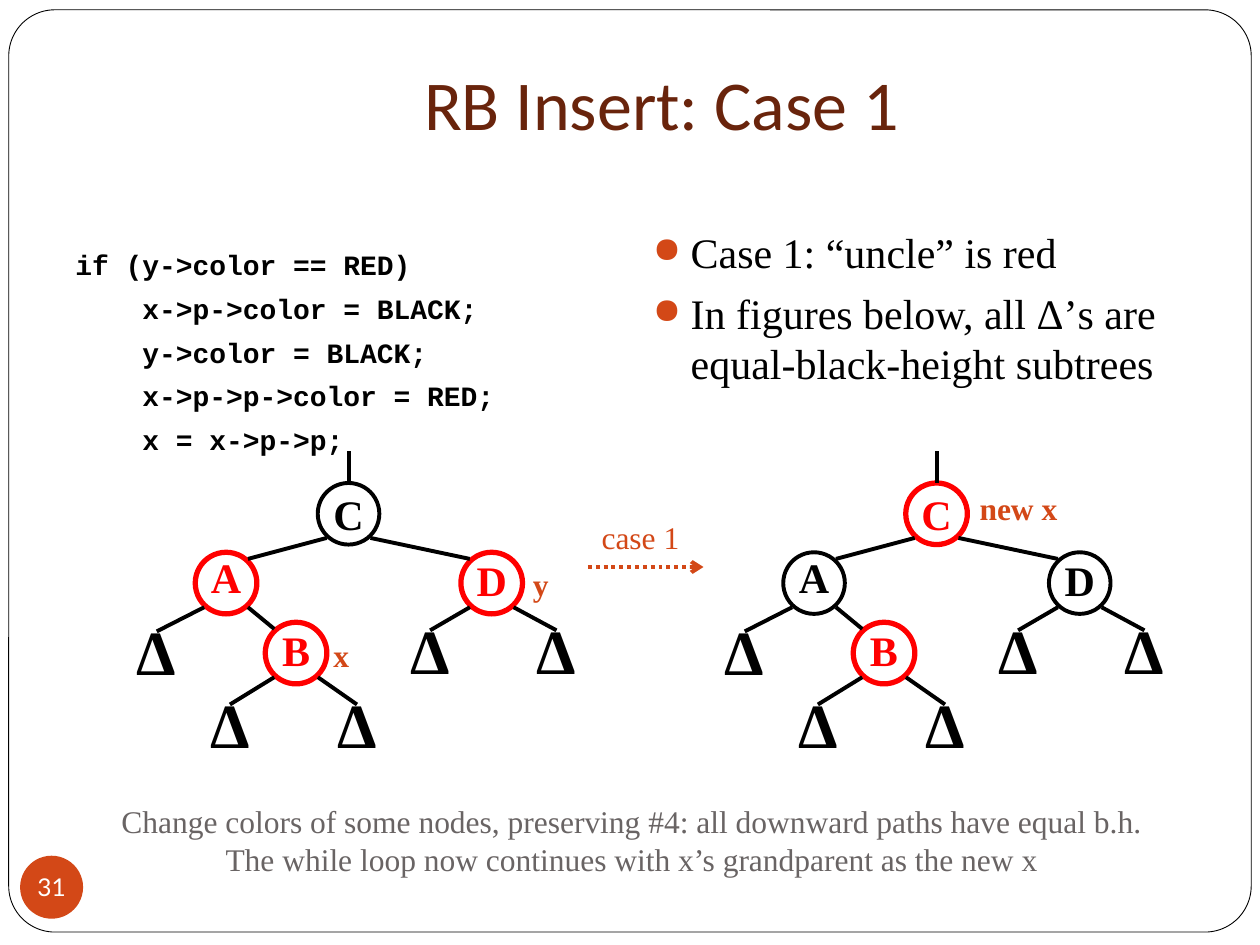
from lxml.etree import SubElement
from pptx import Presentation
from pptx.dml.color import RGBColor
from pptx.enum.dml import MSO_LINE
from pptx.enum.shapes import MSO_CONNECTOR, MSO_SHAPE
from pptx.enum.text import MSO_ANCHOR, PP_ALIGN
from pptx.oxml.ns import qn
from pptx.util import Pt

COLORS = {"black": "000000", "white": "FFFFFF", "red": "FF0000",
          "accent": "D34817", "title": "69240C", "grey": "696464"}
SERIF = "Times New Roman"
DIAMETER = 35.2
DIAG_X, DIAG_Y = 12.5, 13.8
NODES = {"C": (109.6, 18, None), "A": (39.6, 57.6, 0.7),
         "D": (191.4, 57.6, 0.9), "B": (79.6, 97.6, 0.9)}
LEAVES = [("A", 0, 102.8), ("B", 41.8, 144.6), ("B", 114.4, 144.6),
          ("D", 156.2, 102.2), ("D", 228.4, 102.2)]
BRANCHES = [("C", "A"), ("C", "D"), ("A", "B")]


def rgb(name):
    return RGBColor.from_string(COLORS[name])


def write(sp, lines, size, color, font=SERIF, bold=False, align=PP_ALIGN.CENTER,
          anchor=MSO_ANCHOR.MIDDLE, wrap=False, spacing=None, before=0, bullet=False):
    tf = sp.text_frame
    tf.word_wrap, tf.vertical_anchor = wrap, anchor
    for i, line in enumerate(lines):
        p = tf.paragraphs[0] if i == 0 else tf.add_paragraph()
        p.alignment = align
        p.space_before = Pt(before if i else 0)
        if spacing:
            p.line_spacing = spacing
        if bullet:
            add_bullet(p)
        r = p.add_run()
        r.text = line
        for name, value in {"size": Pt(size), "name": font, "bold": bold}.items():
            setattr(r.font, name, value)
        r.font.color.rgb = rgb(color)
    return tf


def add_bullet(p):
    pPr = p._p.get_or_add_pPr()
    pPr.set("marL", str(Pt(21.6)))
    pPr.set("indent", str(-Pt(21.6)))
    SubElement(SubElement(pPr, qn("a:buClr")), qn("a:srgbClr"), val=COLORS["accent"])
    SubElement(pPr, qn("a:buSzPct"), val="85000")
    SubElement(pPr, qn("a:buChar"), char="●")


def add_text(s, box, lines, size, color, **fmt):
    sp = s.shapes.add_textbox(*map(Pt, box))
    return write(sp, lines, size, color, **fmt)


def add_shape(s, kind, box, fill=None, line=None, width=1):
    sp = s.shapes.add_shape(kind, *map(Pt, box))
    sp.shadow.inherit = False
    if fill:
        sp.fill.solid()
        sp.fill.fore_color.rgb = rgb(fill)
    else:
        sp.fill.background()
    if line:
        sp.line.color.rgb = rgb(line)
        sp.line.width = Pt(width)
    else:
        sp.line.fill.background()
    return sp


def add_line(s, start, end, color="black"):
    c = s.shapes.add_connector(MSO_CONNECTOR.STRAIGHT, *map(Pt, (*start, *end)))
    c.line.color.rgb = rgb(color)
    c.line.width = Pt(2.25)
    SubElement(c._element.spPr, qn("a:effectLst"))
    return c


def draw_frame(s, box):
    sp = add_shape(s, MSO_SHAPE.ROUNDED_RECTANGLE, box, "white", "black", 0.5)
    sp.adjustments[0] = 0.05


def draw_page_number(s, box, number):
    sp = add_shape(s, MSO_SHAPE.OVAL, box, "accent")
    tf = write(sp, [number], 14, "white", font="Lato")
    for side in ("left", "right", "top", "bottom"):
        setattr(tf, f"margin_{side}", 0)


def draw_tree(s, left, top, red_nodes):
    def diagonal(name, dx, dy):
        x, y, _ = NODES[name]
        return (left + x + DIAMETER / 2 + dx * DIAG_X,
                top + y + DIAMETER / 2 + dy * DIAG_Y)

    def side(parent, child_x):
        return 1 if child_x > NODES[parent][0] else -1

    shapes = {}
    for name, (x, y, spacing) in NODES.items():
        color, width = ("red", 3) if name in red_nodes else ("black", 2.25)
        sp = add_shape(s, MSO_SHAPE.OVAL, (left + x, top + y, DIAMETER, DIAMETER),
                       "white", color, width)
        write(sp, [name], 24, color, bold=True, spacing=spacing)
        shapes[name] = sp
    for parent, child in BRANCHES:
        dx = side(parent, NODES[child][0])
        add_line(s, diagonal(parent, dx, 1), diagonal(child, -dx, -1))
    for parent, x, y in LEAVES:
        sp = add_shape(s, MSO_SHAPE.OVAL, (left + x, top + y, DIAMETER, DIAMETER))
        write(sp, ["Δ"], 36, "black", bold=True, spacing=0.6)
        add_line(s, diagonal(parent, side(parent, x), 1),
                 (left + x + DIAMETER / 2, top + y))
    root_x = left + NODES["C"][0] + DIAMETER / 2
    stem = add_line(s, (root_x, top + NODES["C"][1]), (root_x, top))
    stem.begin_connect(shapes["C"], 0)


def draw_transition(s, left, top, width):
    add_text(s, (left, top, 60, 29), ["case 1"], 18, "accent")
    y = top + 31.8
    c = add_line(s, (left, y), (left + width, y), "accent")
    c.line.dash_style = MSO_LINE.ROUND_DOT
    SubElement(c.line._get_or_add_ln(), qn("a:tailEnd"), type="arrow")


def draw_title(s, box):
    tf = add_text(s, box, ["RB Insert: Case 1"], 40, "title", font="Calibri",
                  anchor=MSO_ANCHOR.BOTTOM, wrap=True)
    tf.margin_bottom = Pt(7.2)


def draw_code(s, box):
    add_text(s, box, ["if (y->color == RED)",
                      "    x->p->color = BLACK;",
                      "    y->color = BLACK;",
                      "    x->p->p->color = RED;",
                      "    x = x->p->p;"],
             16, "black", font="Courier New", bold=True, align=PP_ALIGN.LEFT,
             anchor=MSO_ANCHOR.TOP, wrap=True, before=5.8)


def draw_bullets(s, box):
    add_text(s, box, ["Case 1: “uncle” is red",
                      "In figures below, all Δ’s are equal-black-height subtrees"],
             24, "black", align=PP_ALIGN.LEFT, anchor=MSO_ANCHOR.TOP,
             wrap=True, before=5.8, bullet=True)


def draw_labels(s):
    for text, box in (("x", (182.8, 358.6, 24.4, 31)),
                      ("y", (297.4, 318.2, 23, 31)),
                      ("new x", (550, 275, 64, 31))):
        add_text(s, box, [text], 18, "accent", bold=True)


def draw_caption(s, box):
    add_text(s, box, [
        "Change colors of some nodes, preserving #4: all downward paths have equal b.h.",
        "The while loop now continues with x’s grandparent as the new x"], 18, "grey")


def main():
    prs = Presentation()
    prs.slide_width, prs.slide_height = Pt(720), Pt(540)
    s = prs.slides.add_slide(prs.slide_layouts[6])
    draw_frame(s, (5, 5.6, 710, 527))
    draw_title(s, (72, 0, 612, 90))
    draw_code(s, (36, 138, 318, 126))
    draw_bullets(s, (366, 126, 318, 132))
    draw_tree(s, 72, 258, "ADB")
    draw_tree(s, 408, 258, "CB")
    draw_transition(s, 336, 292.2, 66)
    draw_labels(s)
    draw_caption(s, (27.4, 452.2, 667.4, 55.4))
    draw_page_number(s, (11.5, 489, 36, 36), "31")
    prs.save("out.pptx")


if __name__ == "__main__":
    main()
